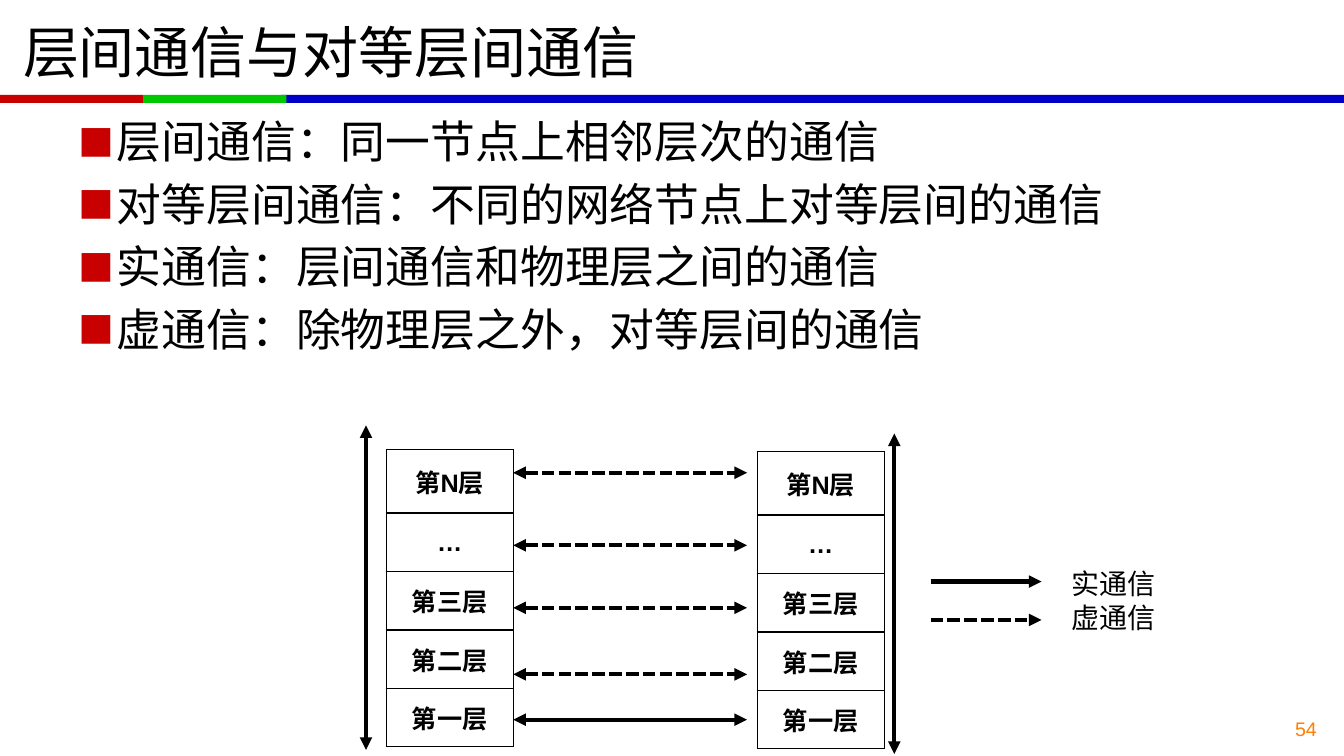
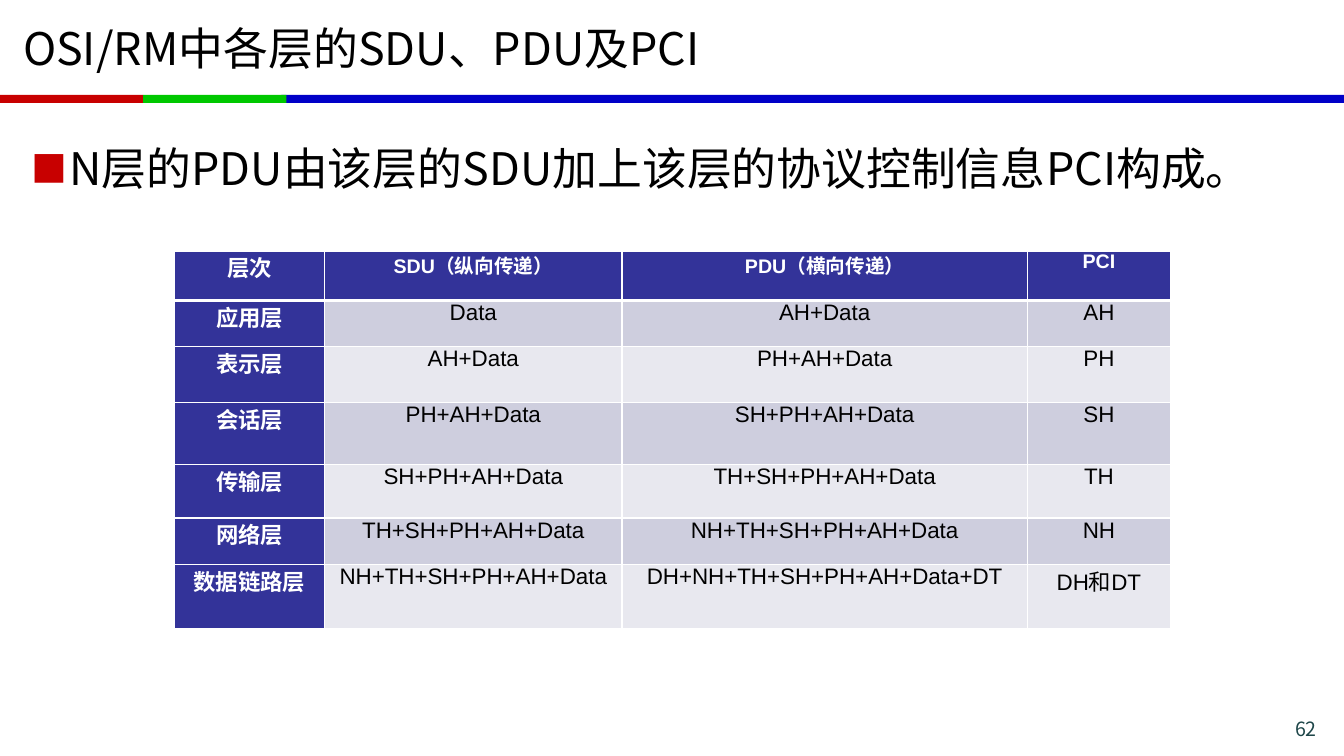
from lxml import etree
from pptx import Presentation
from pptx import util as u
from pptx.dml import color
from pptx.enum import dml, shapes, text
from pptx.oxml import ns

RED, GREEN, BLUE = "C80000", "00C800", "0000C8"
BLACK, WHITE, INDIGO = "000000", "FFFFFF", "333399"
STRIPES = ("CECEDE", "E8E8EF")
ARIAL, NOTO = "Arial", "Noto Sans CJK SC"
CENTER, RIGHT = text.PP_ALIGN.CENTER, text.PP_ALIGN.RIGHT
MIDDLE = text.MSO_ANCHOR.MIDDLE


def rgb(value):
    return color.RGBColor.from_string(value)


def child(parent, tag, **attributes):
    return etree.SubElement(parent, ns.qn(tag), **attributes)


class Deck:
    """Holds the shared style and the slide being built."""

    def __init__(self):
        self.prs = Presentation()
        self.prs.slide_width = u.Inches(13.33)
        self.prs.slide_height = u.Inches(7.5)
        self.slide = None

    def new_slide(self, title, top, size, font, number, number_font, number_color):
        self.slide = self.prs.slides.add_slide(self.prs.slide_layouts[6])
        for left, width, fill in ((2.79, 10.54, BLUE), (0, 1.42, RED), (1.42, 1.42, GREEN)):
            self.band(left, 0.94, width, 0.08, fill)
        self.text(0.13, top, 12.39, 0.84, [title], size, font=font, anchor=MIDDLE)
        self.text(11.86, 7.06, 1.3, 0.28, [number], 14, number_color, number_font, RIGHT)

    def band(self, left, top, width, height, fill):
        band = self.slide.shapes.add_shape(
            shapes.MSO_SHAPE.RECTANGLE, *map(u.Inches, (left, top, width, height)))
        band.shadow.inherit = False
        band.fill.solid()
        band.fill.fore_color.rgb = rgb(fill)
        band.line.fill.background()

    def style(self, paragraph, size, hue, font, bold=False, align=None):
        paragraph.alignment = align
        for run in paragraph.runs:
            run.font.size = u.Pt(size)
            run.font.bold = bold
            run.font.color.rgb = rgb(hue)
            run.font.name = font
            child(run._r.get_or_add_rPr(), "a:ea", typeface=NOTO)

    def text(self, left, top, width, height, lines, size, hue=BLACK, font=NOTO,
             align=None, anchor=None, pitch=None, bullet=False):
        box = self.slide.shapes.add_textbox(*map(u.Inches, (left, top, width, height)))
        frame = box.text_frame
        frame.word_wrap = True
        frame.vertical_anchor = anchor
        frame.text = "\n".join(lines)
        for index, paragraph in enumerate(frame.paragraphs):
            if bullet:
                self.bullet(paragraph)
                if index:
                    paragraph.space_before = u.Pt(size * 0.2)
            if pitch:
                paragraph.line_spacing = u.Pt(pitch)
            self.style(paragraph, size, hue, font, align=align)

    def bullet(self, paragraph):
        indent = u.Inches(0.38)
        props = paragraph._p.get_or_add_pPr()
        props.set("marL", str(indent))
        props.set("indent", str(-indent))
        child(child(props, "a:buClr"), "a:srgbClr", val=RED)
        child(props, "a:buSzPct", val="80000")
        child(props, "a:buFont", typeface=NOTO)
        child(props, "a:buChar", char="■")

    def arrow(self, x1, y1, x2, y2, dashed=False, both=True):
        arrow = self.slide.shapes.add_connector(
            shapes.MSO_CONNECTOR.STRAIGHT, *map(u.Inches, (x1, y1, x2, y2)))
        arrow.line.color.rgb = rgb(BLACK)
        arrow.line.width = u.Pt(3)
        if dashed:
            arrow.line.dash_style = dml.MSO_LINE.SQUARE_DOT
        outline = arrow.line._get_or_add_ln()
        if both:
            child(outline, "a:headEnd", type="triangle")
        child(outline, "a:tailEnd", type="triangle")
        child(arrow._element.spPr, "a:effectLst")

    def table(self, left, top, widths, heights, rows):
        frame = self.slide.shapes.add_table(
            len(heights), len(widths),
            *map(u.Inches, (left, top, sum(widths), sum(heights))))
        table = frame.table
        table.first_row = table.horz_banding = False
        for column, width in zip(table.columns, widths):
            column.width = u.Inches(width)
        for row, height, values in zip(table.rows, heights, rows):
            row.height = u.Inches(height)
            for cell, value in zip(row.cells, values):
                cell.text = value
        return table

    def borders(self, cell, hue, **widths):
        props = cell._tc.get_or_add_tcPr()
        for side in "LRTB":
            edge = child(props, f"a:ln{side}", w=str(u.Pt(widths.get(side, 1))))
            child(child(edge, "a:solidFill"), "a:srgbClr", val=hue)

    def layer_stack(self, left, top, layers):
        heights = [0.63] + [0.58] * (len(layers) - 1)
        stack = self.table(left, top, [1.26], heights, [[layer] for layer in layers])
        for cell in stack.iter_cells():
            self.borders(cell, BLACK)
            cell.fill.background()
            cell.vertical_anchor = MIDDLE
            self.style(cell.text_frame.paragraphs[0], 18, BLACK, ARIAL, True, CENTER)

    def unit_table(self, left, top, widths, heights, rows):
        table = self.table(left, top, widths, heights, rows)
        for r in range(len(heights)):
            for c in range(len(widths)):
                cell = table.cell(r, c)
                heading = r == 0 or c == 0
                self.borders(cell, WHITE, T=3 if r == 1 else 1, B=3 if r == 0 else 1)
                cell.fill.solid()
                cell.fill.fore_color.rgb = rgb(INDIGO if heading else STRIPES[(r - 1) % 2])
                cell.margin_left = cell.margin_right = u.Inches(0.07)
                cell.margin_top = cell.margin_bottom = 0
                self.style(cell.text_frame.paragraphs[0], 14 if r == 0 and c else 16,
                           WHITE if heading else BLACK, ARIAL, heading, CENTER)


def communication_slide(deck):
    deck.new_slide("层间通信与对等层间通信", 0.09, 40, ARIAL, "54", ARIAL, "FF7F00")
    definitions = [
        "层间通信：同一节点上相邻层次的通信",
        "对等层间通信：不同的网络节点上对等层间的通信",
        "实通信：层间通信和物理层之间的通信",
        "虚通信：除物理层之外，对等层间的通信",
    ]
    deck.text(0.68, 1.08, 12.11, 2.6, definitions, 32, pitch=38.3, bullet=True)
    layers = ["第N层", "…", "第三层", "第二层", "第一层"]
    for left, top in ((3.83, 4.46), (7.51, 4.48)):
        deck.layer_stack(left, top, layers)
    deck.arrow(3.63, 4.22, 3.63, 7.44)
    deck.arrow(8.87, 7.48, 8.87, 4.3)
    for layer, y in zip(layers, (4.69, 5.41, 6.03, 6.69, 7.14)):
        deck.arrow(5.09, y, 7.41, y, dashed=layer != layers[-1])
    for y, dashed in ((5.77, False), (6.15, True)):
        deck.arrow(9.23, y, 10.33, y, dashed, both=False)
    deck.text(10.53, 5.57, 1.04, 0.77, ["实通信", "虚通信"], 20, pitch=24)


def data_unit_slide(deck):
    deck.new_slide("OSI/RM中各层的SDU、PDU及PCI", 0.05, 32, NOTO, "62", NOTO, "1E4649")
    rows = [["层次", "SDU（纵向传递）", "PDU（横向传递）", "PCI"]]
    unit = "Data"
    for layer, header in (("应用层", "AH"), ("表示层", "PH"), ("会话层", "SH"),
                          ("传输层", "TH"), ("网络层", "NH")):
        rows.append([layer, unit, f"{header}+{unit}", header])
        unit = f"{header}+{unit}"
    rows.append(["数据链路层", unit, f"DH+{unit}+DT", "DH和DT"])
    deck.unit_table(1.73, 2.49, [1.49, 2.95, 4.02, 1.42],
                    [0.49, 0.46, 0.55, 0.62, 0.53, 0.46, 0.64], rows)
    deck.text(0.21, 1.39, 12.36, 1.05,
              ["N层的PDU由该层的SDU加上该层的协议控制信息PCI构成。"],
              32, pitch=35, bullet=True)


def main():
    deck = Deck()
    communication_slide(deck)
    data_unit_slide(deck)
    deck.prs.save("out.pptx")


if __name__ == "__main__":
    main()
